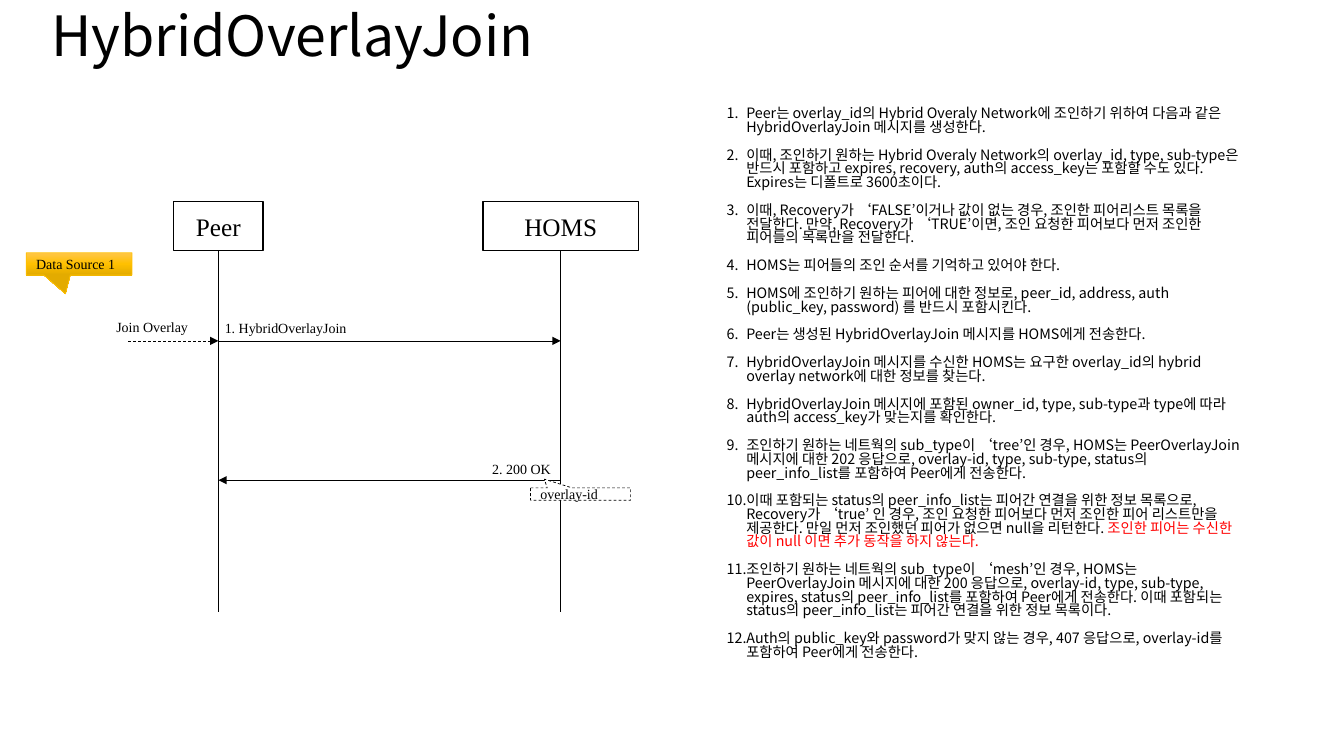
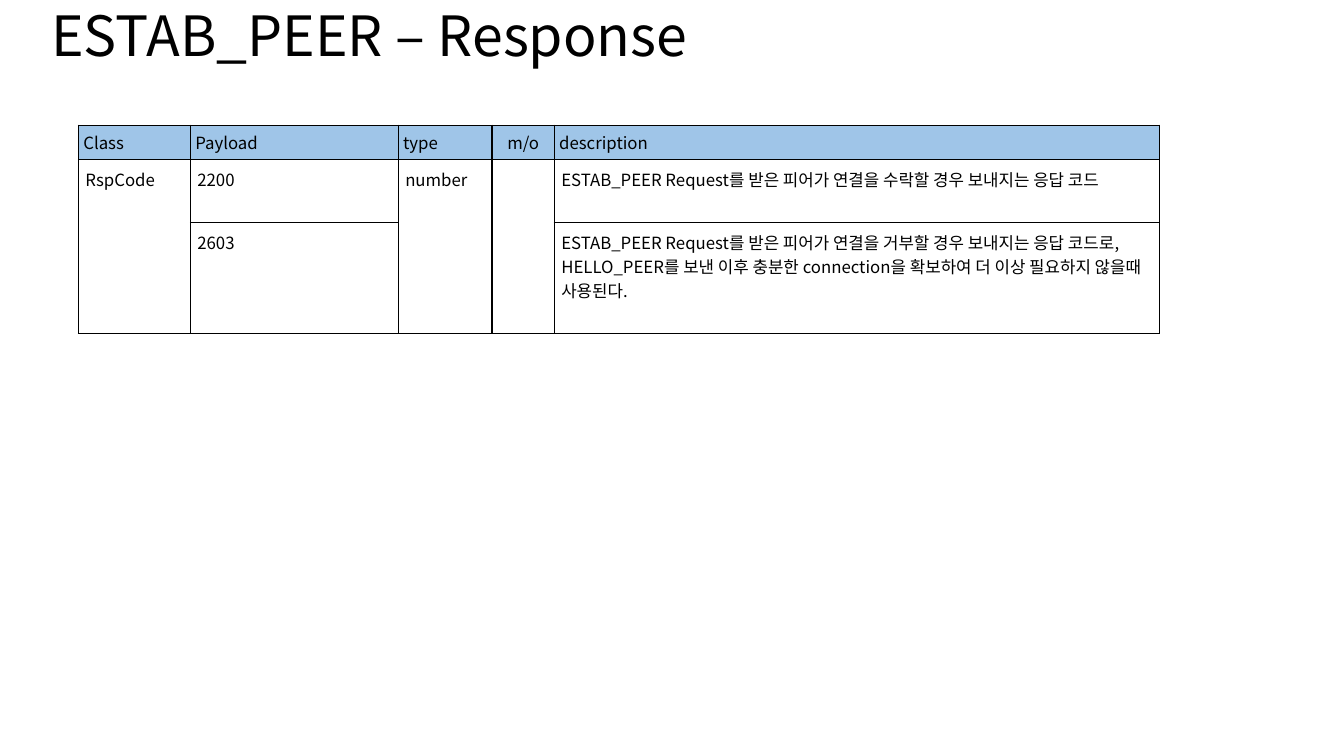
from copy import deepcopy
from lxml.etree import SubElement
from pptx import Presentation
from pptx.dml.color import RGBColor
from pptx.enum.dml import MSO_LINE
from pptx.enum.shapes import MSO_CONNECTOR, MSO_SHAPE
from pptx.enum.text import MSO_ANCHOR, PP_ALIGN
from pptx.oxml.ns import qn
from pptx.util import Pt

COLORS = {
    "black": "000000", "white": "FFFFFF", "red": "FF0000", "header": "9FC5E8",
    "gold_light": "FFC64B", "gold": "FFC000", "gold_dark": "E3AB00",
}
SANS = "Noto Sans CJK KR"
SERIF = "Times New Roman"


def add_text(paragraph, text, size, font=SERIF, color="black"):
    run = paragraph.add_run()
    run.text = text
    run.font.size = Pt(size)
    run.font.name = font
    run.font.color.rgb = RGBColor.from_string(COLORS[color])
    SubElement(run._r.get_or_add_rPr(), qn("a:ea"), typeface=font)


def add_line(slide, x1, y1, x2, y2, arrow=False, dashed=False):
    line = slide.shapes.add_connector(MSO_CONNECTOR.STRAIGHT, Pt(x1), Pt(y1), Pt(x2), Pt(y2))
    line.line.color.rgb = RGBColor.from_string(COLORS["black"])
    line.line.width = Pt(0.5)
    if dashed:
        line.line.dash_style = MSO_LINE.DASH
    if arrow:
        SubElement(line.line._get_or_add_ln(), qn("a:tailEnd"), type="triangle")
    SubElement(line._element.spPr, qn("a:effectLst"))
    return line


presentation = Presentation()
presentation.slide_width = Pt(960)
presentation.slide_height = Pt(540)

slides = []
for heading in ("HybridOverlayJoin", "ESTAB_PEER – Response"):
    slide = presentation.slides.add_slide(presentation.slide_layouts[5])
    title = slide.shapes.title
    title.left, title.top, title.width, title.height = Pt(29.5), Pt(1.5), Pt(898), Pt(52)
    title.text_frame.vertical_anchor = MSO_ANCHOR.MIDDLE
    paragraph = title.text_frame.paragraphs[0]
    paragraph.alignment = PP_ALIGN.LEFT
    paragraph.line_spacing = 0.9
    add_text(paragraph, heading, 39.6, SANS)
    slides.append(slide)
join_slide, response_slide = slides

steps = [
    ["Peer는 overlay_id의 Hybrid Overaly Network에 조인하기 위하여 다음과 같은 HybridOverlayJoin 메시지를 생성한다."],
    ["이때, 조인하기 원하는 Hybrid Overaly Network의 overlay_id, type, sub-type은 반드시 포함하고 expires, recovery, auth의 access_key는 포함할 수도 있다. Expires는 디폴트로 3600초이다."],
    ["이때, Recovery가 ‘FALSE’이거나 값이 없는 경우, 조인한 피어리스트 목록을 전달한다. 만약, Recovery가 ‘TRUE’이면, 조인 요청한 피어보다 먼저 조인한 피어들의 목록만을 전달한다."],
    ["HOMS는 피어들의 조인 순서를 기억하고 있어야 한다."],
    ["HOMS에 조인하기 원하는 피어에 대한 정보로, peer_id, address, auth (public_key, password) 를 반드시 포함시킨다."],
    ["Peer는 생성된 HybridOverlayJoin 메시지를 HOMS에게 전송한다."],
    ["HybridOverlayJoin 메시지를 수신한 HOMS는 요구한 overlay_id의 hybrid overlay network에 대한 정보를 찾는다."],
    ["HybridOverlayJoin 메시지에 포함된 owner_id, type, sub-type과 type에 따라 auth의 access_key가 맞는지를 확인한다."],
    ["조인하기 원하는 네트웍의 sub_type이 ‘tree’인 경우, HOMS는 PeerOverlayJoin 메시지에 대한 202 응답으로, overlay-id, type, sub-type, status의 peer_info_list를 포함하여 Peer에게 전송한다."],
    ["이때 포함되는 status의 peer_info_list는 피어간 연결을 위한 정보 목록으로, Recovery가 ‘true’ 인 경우, 조인 요청한 피어보다 먼저 조인한 피어 리스트만을 제공한다. 만일 먼저 조인했던 피어가 없으면 null을 리턴한다. ",
     "조인한 피어는 수신한 값이 null 이면 추가 동작을 하지 않는다."],
    ["조인하기 원하는 네트웍의 sub_type이 ‘mesh’인 경우, HOMS는 PeerOverlayJoin 메시지에 대한 200 응답으로, overlay-id, type, sub-type, expires, status의 peer_info_list를 포함하여 Peer에게 전송한다. 이때 포함되는 status의 peer_info_list는 피어간 연결을 위한 정보 목록이다."],
    ["Auth의 public_key와 password가 맞지 않는 경우, 407 응답으로, overlay-id를 포함하여 Peer에게 전송한다."],
]
step_box = join_slide.shapes.add_textbox(Pt(512), Pt(73.5), Pt(382.5), Pt(412.5))
step_frame = step_box.text_frame
step_frame.word_wrap = True
for index, parts in enumerate(steps):
    paragraph = step_frame.add_paragraph() if index else step_frame.paragraphs[0]
    paragraph.line_spacing = 0.8
    paragraph.space_before = Pt(10 if index else 0)
    properties = paragraph._p.get_or_add_pPr()
    properties.set("marL", str(Pt(14)))
    properties.set("indent", str(Pt(-14)))
    SubElement(properties, qn("a:buAutoNum"), type="arabicPeriod")
    for text, color in zip(parts, ("black", "red")):
        add_text(paragraph, text, 10.2, SANS, color)

centers = {}
for name, left, width in (("Peer", 124, 64), ("HOMS", 345, 111)):
    box = join_slide.shapes.add_shape(MSO_SHAPE.RECTANGLE, Pt(left), Pt(144), Pt(width), Pt(35))
    box.shadow.inherit = False
    box.fill.background()
    box.line.color.rgb = RGBColor.from_string(COLORS["black"])
    box.line.width = Pt(1)
    box.text_frame.vertical_anchor = MSO_ANCHOR.MIDDLE
    paragraph = box.text_frame.paragraphs[0]
    paragraph.alignment = PP_ALIGN.CENTER
    add_text(paragraph, name, 18)
    centers[name] = left + width / 2
    lifeline = add_line(join_slide, centers[name], 179, centers[name], 437.5)
    lifeline.begin_connect(box, 2)

add_line(join_slide, 91.5, 243.5, centers["Peer"], 243.5, arrow=True, dashed=True)
add_line(join_slide, centers["Peer"], 243.5, centers["HOMS"], 243.5, arrow=True)
add_line(join_slide, centers["HOMS"], 343, centers["Peer"], 343, arrow=True)

for text, left, top, width in (
    ("Join Overlay", 76, 224, 96),
    ("1. HybridOverlayJoin", 153.5, 224.5, 127),
    ("2. 200 OK", 344.5, 325.5, 57),
):
    label = join_slide.shapes.add_textbox(Pt(left), Pt(top), Pt(width), Pt(19.5))
    label.text_frame.word_wrap = True
    add_text(label.text_frame.paragraphs[0], text, 10)

callouts = []
for text, left, top, width, height, tip, outline in (
    ("Data Source 1", 18.75, 180.5, 75.5, 16, (-0.128, 1.342), "gold"),
    ("overlay-id", 379, 348.5, 71.5, 8.75, (-0.362, -1.216), "black"),
):
    callout = join_slide.shapes.add_shape(
        MSO_SHAPE.RECTANGULAR_CALLOUT, Pt(left), Pt(top), Pt(width), Pt(height))
    callout.shadow.inherit = False
    callout.adjustments[0], callout.adjustments[1] = tip
    callout.line.color.rgb = RGBColor.from_string(COLORS[outline])
    callout.line.width = Pt(0.5)
    callout.text_frame.vertical_anchor = MSO_ANCHOR.MIDDLE
    paragraph = callout.text_frame.paragraphs[0]
    paragraph.alignment = PP_ALIGN.LEFT
    add_text(paragraph, text, 10)
    callouts.append(callout)
source_callout, overlay_callout = callouts

overlay_callout.fill.solid()
overlay_callout.fill.fore_color.rgb = RGBColor.from_string(COLORS["white"])
overlay_callout.line.dash_style = MSO_LINE.DASH

source_callout.fill.gradient()
source_callout.fill.gradient_angle = 270
first_stop = source_callout._element.spPr.find(".//" + qn("a:gs"))
first_stop.addnext(deepcopy(first_stop))
for stop, position, color in zip(
    source_callout.fill.gradient_stops, (0, 0.5, 1), ("gold_light", "gold", "gold_dark")
):
    stop.position = position
    stop.color.rgb = RGBColor.from_string(COLORS[color])

rows = [
    ["Class", "Payload", "type", "m/o", "description"],
    ["RspCode", "2200", "number", "",
     "ESTAB_PEER Request를 받은 피어가 연결을 수락할 경우 보내지는 응답 코드"],
    ["", "2603", "", "",
     "ESTAB_PEER Request를 받은 피어가 연결을 거부할 경우 보내지는 응답 코드로, HELLO_PEER를 보낸 이후 충분한 connection을 확보하여 더 이상 필요하지 않을때 사용된다."],
]
column_widths = [80, 148.5, 67, 44.5, 432]
row_heights = [24.5, 45, 79]
table = response_slide.shapes.add_table(
    len(rows), len(column_widths), Pt(56), Pt(89.5),
    Pt(sum(column_widths)), Pt(sum(row_heights))).table
table.first_row = False
table.horz_banding = False
for column, width in zip(table.columns, column_widths):
    column.width = Pt(width)
for row, height in zip(table.rows, row_heights):
    row.height = Pt(height)

for row_index, texts in enumerate(rows):
    for column_index, text in enumerate(texts):
        cell = table.cell(row_index, column_index)
        inset = Pt(5 if row_index else 3.5)
        cell.margin_left = cell.margin_right = cell.margin_top = cell.margin_bottom = inset
        properties = cell._tc.get_or_add_tcPr()
        for side in ("lnL", "lnR", "lnT", "lnB"):
            border = SubElement(properties, qn("a:" + side), w=str(Pt(1)))
            fill = SubElement(border, qn("a:solidFill"))
            SubElement(fill, qn("a:srgbClr"), val=COLORS["black"])
        if row_index:
            cell.fill.background()
        else:
            cell.fill.solid()
            cell.fill.fore_color.rgb = RGBColor.from_string(COLORS["header"])
        if text:
            paragraph = cell.text_frame.paragraphs[0]
            paragraph.alignment = PP_ALIGN.CENTER if text == "m/o" else PP_ALIGN.LEFT
            add_text(paragraph, text, 12, SANS)

for column_index in (0, 2, 3):
    table.cell(1, column_index).merge(table.cell(2, column_index))

presentation.save("out.pptx")
